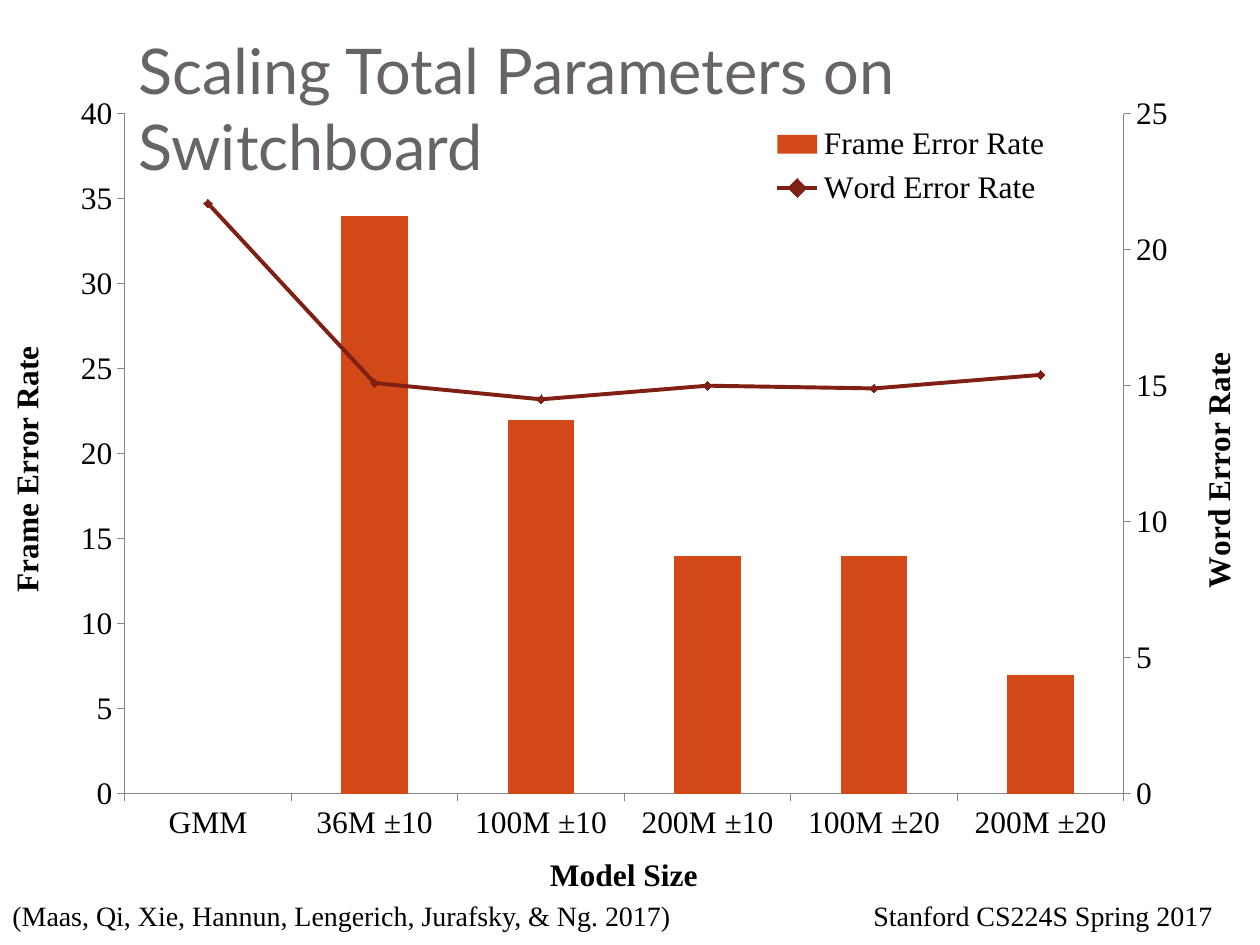
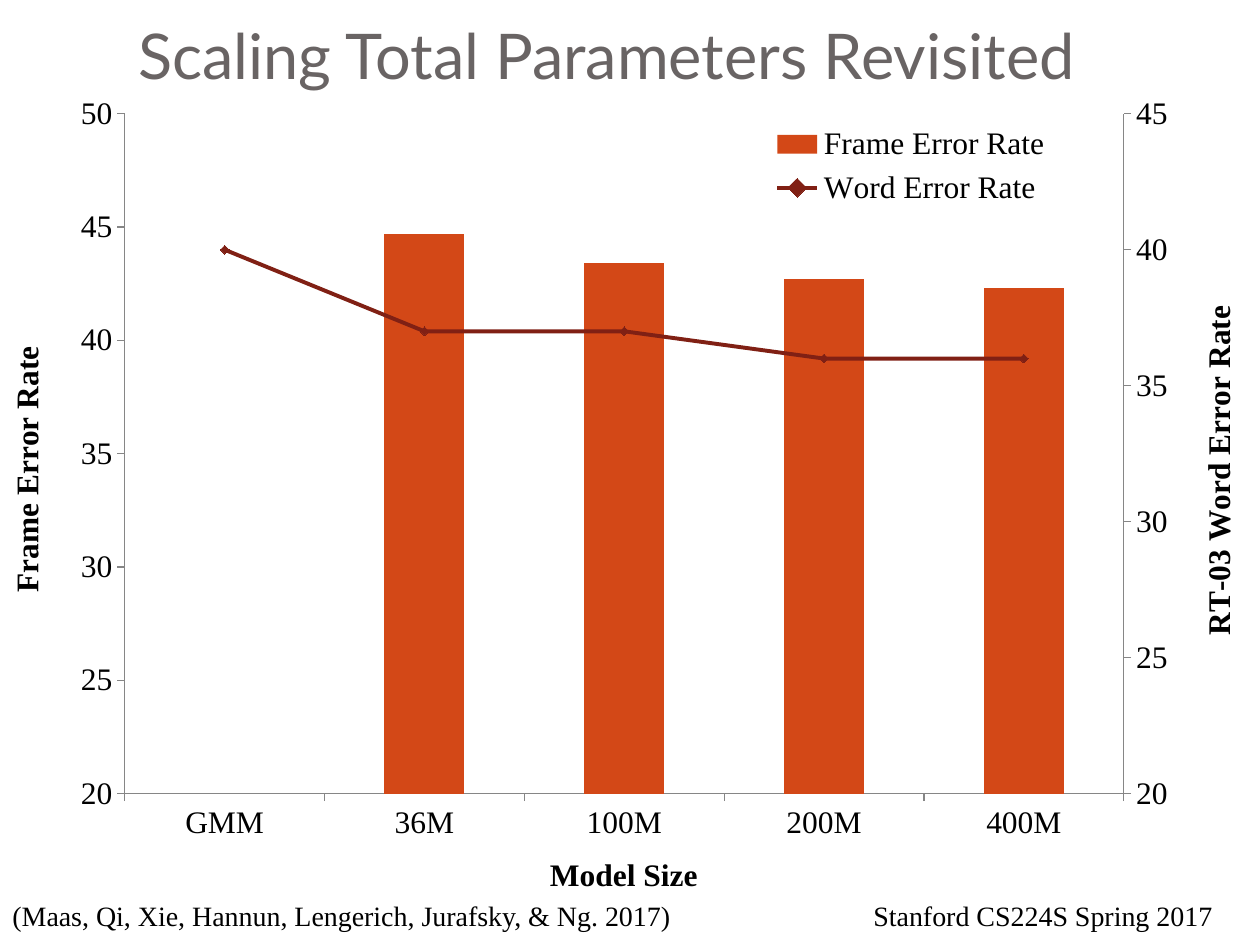
import copy

import pptx
import pptx.chart.axis
import pptx.chart.data
import pptx.dml.color
import pptx.enum.chart
import pptx.enum.text
import pptx.oxml
import pptx.oxml.ns
import pptx.util

WIDTH, HEIGHT = pptx.util.Inches(10), pptx.util.Inches(7.5)
COLUMNS, ROWS = 120, 90
COLOURS = {"title": "696464", "text": "000000", "axis": "868686",
           "frame": "D34817", "word": "802014"}
SERIF = "Times New Roman"
FOOTERS = [
    ("Stanford CS224S Spring 2017", (82, 85, 38, 4.4)),
    ("(Maas, Qi, Xie, Hannun, Lengerich, Jurafsky, & Ng. 2017)", (0, 85, 74, 4.4)),
]
CHART_AREA = (0, 9, 120, 77)
CHARTS = [
    {
        "title": "Scaling Total Parameters on Switchboard",
        "title_area": (12, 3.6, 102, 15),
        "models": ["GMM", "36M ±10", "100M ±10", "200M ±10", "100M ±20", "200M ±20"],
        "frame": [None, 34, 22, 14, 14, 7],
        "word": [21.7, 15.1, 14.5, 15, 14.9, 15.4],
        "frame_range": (0, 40), "word_range": (0, 25),
        "word_title": "Word Error Rate", "word_title_top": 31.5,
    },
    {
        "title": "Scaling Total Parameters Revisited",
        "title_area": (12, 3.6, 102, 6.4),
        "models": ["GMM", "36M", "100M", "200M", "400M"],
        "frame": [None, 44.7, 43.4, 42.7, 42.3],
        "word": [40, 37, 37, 36, 36],
        "frame_range": (20, 50), "word_range": (20, 45),
        "word_title": "RT-03 Word Error Rate", "word_title_top": 25.8,
    },
]


def colour(name):
    return pptx.dml.color.RGBColor.from_string(COLOURS[name])


def grid(left, top, width, height):
    """Turn grid columns and rows into slide lengths."""
    return (int(WIDTH * left / COLUMNS), int(HEIGHT * top / ROWS),
            int(WIDTH * width / COLUMNS), int(HEIGHT * height / ROWS))


def set_all(target, values):
    for name, value in values.items():
        setattr(target, name, value)


def style_font(font, name, size, colour_name, bold=False):
    set_all(font, {"name": name, "size": pptx.util.Pt(size), "bold": bold})
    font.color.rgb = colour(colour_name)


def add_text(page, text, area, name, size, colour_name, **frame_format):
    frame = page.shapes.add_textbox(*grid(*area)).text_frame
    set_all(frame, {"word_wrap": True, **frame_format})
    span = frame.paragraphs[0].add_run()
    span.text = text
    style_font(span.font, name, size, colour_name)


# Chart XML helpers

def child(parent, tag):
    return parent.find(pptx.oxml.ns.qn("c:" + tag))


def element(tag, **attributes):
    node = pptx.oxml.parse_xml(f"<c:{tag} {pptx.oxml.ns.nsdecls('c')}/>")
    for name, value in attributes.items():
        node.set(name, str(value))
    return node


def place(parent, index, inner=False, **percents):
    """Give a chart part a fixed place, in percent of the chart."""
    old = child(parent, "layout")
    if old is not None:
        parent.remove(old)
    layout, manual = element("layout"), element("manualLayout")
    layout.append(manual)
    if inner:
        manual.append(element("layoutTarget", val="inner"))
    for side in ("x", "y"):
        manual.append(element(side + "Mode", val="edge"))
    for side, percent in percents.items():
        manual.append(element(side, val=round(percent / 100, 4)))
    parent.insert(index, layout)


def add_second_axes(area):
    """Copy both axes; the value axis goes right, the category axis is hidden."""
    first = child(area, "valAx")
    category, value = copy.deepcopy(child(area, "catAx")), copy.deepcopy(first)
    for axis, own, other in ((category, 1001, 1002), (value, 1002, 1001)):
        child(axis, "axId").set("val", str(own))
        child(axis, "crossAx").set("val", str(other))
    first.addnext(value)
    value.addnext(category)
    child(value, "axPos").set("val", "r")
    child(value, "crosses").set("val", "max")
    child(category, "delete").set("val", "1")
    second = pptx.chart.axis.ValueAxis(value)
    second.tick_label_position = pptx.enum.chart.XL_TICK_LABEL_POSITION.HIGH
    return pptx.chart.axis.ValueAxis(first), second


def move_to_line(area):
    """Draw the second column series as a line on the second axes."""
    bars = child(area, "barChart")
    series = bars.findall(pptx.oxml.ns.qn("c:ser"))[1]
    invert = child(series, "invertIfNegative")
    if invert is not None:
        series.remove(invert)
    line = element("lineChart")
    line.append(element("grouping", val="standard"))
    line.append(element("varyColors", val=0))
    line.append(series)
    line.append(element("marker", val=1))
    for number in (1001, 1002):
        line.append(element("axId", val=number))
    bars.addnext(line)


# Chart parts

def style_axis(axis, title, left, top, upright=False):
    axis.has_major_gridlines = False
    axis.major_tick_mark = pptx.enum.chart.XL_TICK_MARK.OUTSIDE
    axis.format.line.color.rgb = colour("axis")
    axis.format.line.width = pptx.util.Pt(0.75)
    frame = axis.axis_title.text_frame
    frame.text = title
    style_font(frame.paragraphs[0].runs[0].font, SERIF, 18, "text", bold=True)
    if upright:
        body = frame._txBody.bodyPr
        body.set("rot", "-5400000")
        body.set("vert", "horz")
    place(axis.axis_title._element, 1, x=left, y=top)


def style_scale(axis, limits):
    low, high = limits
    set_all(axis, {"minimum_scale": low, "maximum_scale": high, "major_unit": 5})


def style_series(chart):
    bars, lines = chart.plots
    set_all(bars, {"gap_width": 150, "vary_by_categories": False})
    fill = bars.series[0].format.fill
    fill.solid()
    fill.fore_color.rgb = colour("frame")
    word = lines.series[0]
    word.smooth = False
    word.format.line.width = pptx.util.Pt(2.25)
    word.format.line.color.rgb = colour("word")
    set_all(word.marker, {"style": pptx.enum.chart.XL_MARKER_STYLE.DIAMOND, "size": 5})
    word.marker.format.fill.solid()
    word.marker.format.fill.fore_color.rgb = colour("word")
    word.marker.format.line.color.rgb = colour("word")


def add_legend(chart):
    chart.has_legend = True
    set_all(chart.legend, {"position": pptx.enum.chart.XL_LEGEND_POSITION.RIGHT,
                           "include_in_layout": False})
    place(chart.legend._element, 1, x=60.8, y=2.9, w=23, h=12)


def add_error_chart(page, content):
    data = pptx.chart.data.CategoryChartData()
    data.categories = content["models"]
    data.add_series("Frame Error Rate", content["frame"])
    data.add_series("Word Error Rate", content["word"])
    chart = page.shapes.add_chart(pptx.enum.chart.XL_CHART_TYPE.COLUMN_CLUSTERED,
                                  *grid(*CHART_AREA), data).chart
    chart.has_title = False
    style_font(chart.font, SERIF, 18, "text")

    area = chart._chartSpace.chart.plotArea
    move_to_line(area)
    frame_axis, word_axis = add_second_axes(area)
    place(area, 0, inner=True, x=9.9, y=2.4, w=79.3, h=84.6)

    style_axis(chart.category_axis, "Model Size", 43.2, 94)
    style_axis(frame_axis, "Frame Error Rate", 0.1, 30.8, upright=True)
    style_axis(word_axis, content["word_title"], 94.7, content["word_title_top"],
               upright=True)
    style_scale(frame_axis, content["frame_range"])
    style_scale(word_axis, content["word_range"])
    style_series(chart)
    add_legend(chart)


def add_page(deck, content):
    page = deck.slides.add_slide(deck.slide_layouts[6])
    add_error_chart(page, content)
    add_text(page, content["title"], content["title_area"], "Lato", 36, "title",
             vertical_anchor=pptx.enum.text.MSO_ANCHOR.BOTTOM,
             margin_bottom=pptx.util.Inches(0.1))
    for text, area in FOOTERS:
        add_text(page, text, area, SERIF, 16, "text")


def main():
    deck = pptx.Presentation()
    set_all(deck, {"slide_width": WIDTH, "slide_height": HEIGHT})
    for content in CHARTS:
        add_page(deck, content)
    deck.save("out.pptx")


if __name__ == "__main__":
    main()
